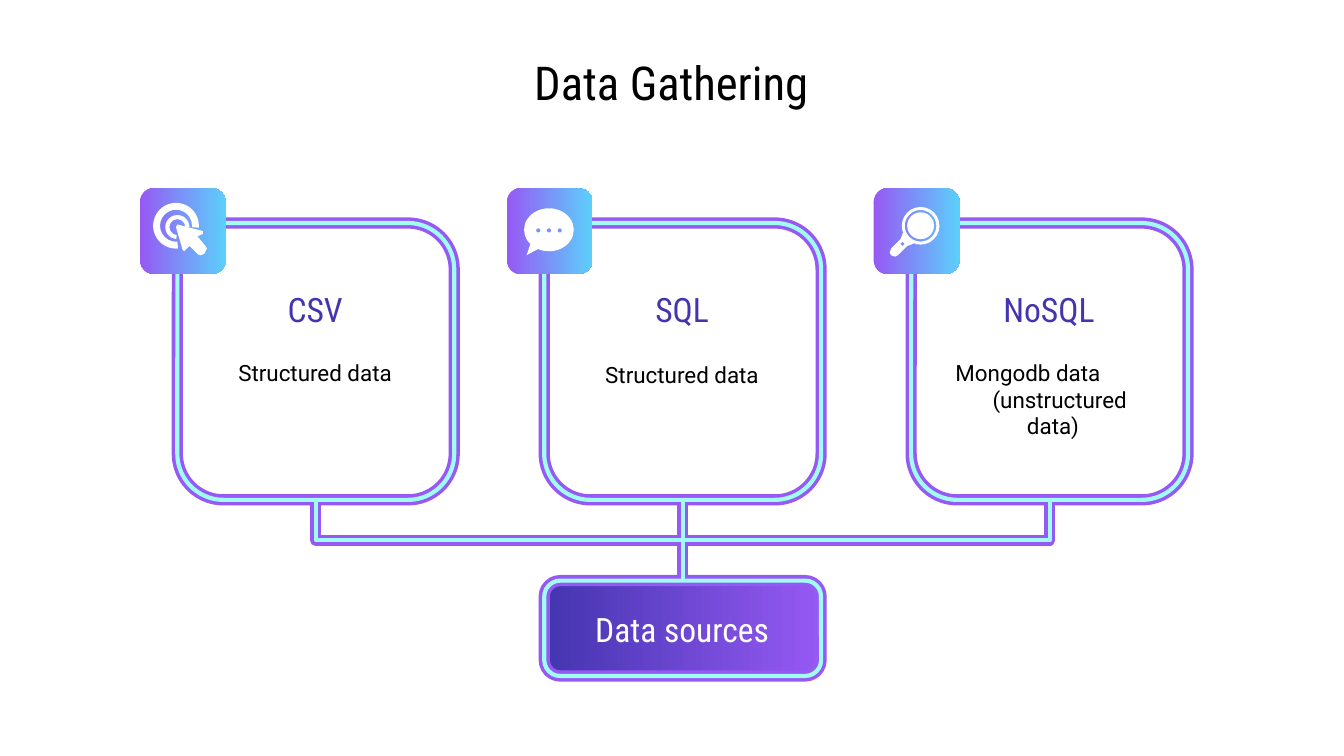
"""Build the Data Gathering slide: three data stores joined to one box of data sources."""
from lxml import etree
from pptx import Presentation
from pptx.dml.color import RGBColor
from pptx.enum.shapes import MSO_CONNECTOR as CONNECTOR, MSO_SHAPE as SHAPE
from pptx.enum.text import MSO_ANCHOR as ANCHOR, PP_ALIGN as ALIGN
from pptx.oxml.ns import qn
from pptx.util import Inches, Pt

COLORS = {
    "purple": "9659F4", "mint": "A0FDF1", "sky": "5CCFFB", "indigo": "4335AF",
    "dots": "7A92F8", "white": "FFFFFF", "black": "000000",
}
CONDENSED = "Roboto Condensed"
OUTLINES = [("purple", 6, ("indigo", "purple")), ("mint", 2.25, None)]
CARD_SIZE, CARD_TOP, SOURCE_TOP = 2.06, 1.66, 4.32
CARD_BOTTOM = CARD_TOP + CARD_SIZE
CARD_LEFTS = [1.32, 4.05, 6.78]
CENTERS = [left + CARD_SIZE / 2 for left in CARD_LEFTS]
HUB = CENTERS[1]

presentation = Presentation()
presentation.slide_width = Inches(10)
presentation.slide_height = Inches(10) * 9 // 16
slide = presentation.slides.add_slide(presentation.slide_layouts[6])


def add_shape(kind, box, fill=None, line=None, adjustments=()):
    shape = slide.shapes.add_shape(kind, *map(Inches, box))
    shape.shadow.inherit = False
    for index, value in enumerate(adjustments):
        shape.adjustments[index] = value
    if isinstance(fill, tuple):
        shape.fill.gradient()
        shape.fill.gradient_angle = 0
        for stop, name, position in zip(shape.fill.gradient_stops, fill, (0, 1)):
            stop.color.rgb = RGBColor.from_string(COLORS[name])
            stop.position = position
    elif fill:
        shape.fill.solid()
        shape.fill.fore_color.rgb = RGBColor.from_string(COLORS[fill])
    else:
        shape.fill.background()
    if line:
        shape.line.color.rgb = RGBColor.from_string(COLORS[line[0]])
        shape.line.width = Pt(line[1])
    else:
        shape.line.fill.background()


def add_text(box, lines, size, font, color, anchor=ANCHOR.MIDDLE):
    frame = slide.shapes.add_textbox(*map(Inches, box)).text_frame
    frame.word_wrap = True
    frame.vertical_anchor = anchor
    frame.margin_left = frame.margin_right = Inches(0.1)
    frame.margin_top = frame.margin_bottom = Inches(0.1)
    for index, (text, alignment, indent) in enumerate(lines):
        paragraph = frame.add_paragraph() if index else frame.paragraphs[0]
        paragraph.alignment = alignment
        if indent:
            properties = paragraph._p.get_or_add_pPr()
            properties.set("marL", "0")
            properties.set("indent", str(Inches(indent)))
        run = paragraph.add_run()
        run.text = text
        run.font.size, run.font.name = Pt(size), font
        run.font.color.rgb = RGBColor.from_string(COLORS[color])


for color, width, source_fill in OUTLINES:
    for center in CENTERS:
        if center == HUB:
            kind, ends = CONNECTOR.STRAIGHT, (HUB, CARD_BOTTOM, HUB, SOURCE_TOP)
        else:
            kind = CONNECTOR.ELBOW
            middle_x, middle_y = (center + HUB) / 2, (CARD_BOTTOM + SOURCE_TOP) / 2
            reach = abs(HUB - center) / 2
            half = (SOURCE_TOP - CARD_BOTTOM) / 2 * (1 if center > HUB else -1)
            ends = (middle_x - half, middle_y - reach, middle_x + half, middle_y + reach)
        connector = slide.shapes.add_connector(kind, *map(Inches, ends))
        connector.line.color.rgb = RGBColor.from_string(COLORS[color])
        connector.line.width = Pt(width)
        properties = connector._element.spPr
        etree.SubElement(properties, qn("a:effectLst"))
        if center != HUB:
            degrees = 90 if center > HUB else 270
            properties.find(qn("a:xfrm")).set("rot", str(degrees * 60000))
    for left in CARD_LEFTS:
        add_shape(SHAPE.ROUNDED_RECTANGLE, (left, CARD_TOP, CARD_SIZE, CARD_SIZE),
                  line=(color, width), adjustments=[0.167])
    add_shape(SHAPE.ROUNDED_RECTANGLE, (CARD_LEFTS[1], SOURCE_TOP, CARD_SIZE, 0.71),
              source_fill, (color, width), [0.167])

for left in CARD_LEFTS:
    add_shape(SHAPE.ROUNDED_RECTANGLE, (left - 0.28, 1.4, 0.64, 0.64),
              ("purple", "sky"), adjustments=[0.167])

icon_parts = [
    (SHAPE.BLOCK_ARC, (1.14, 1.51, 0.34, 0.34), "white", [51, 3, 0.15]),
    (SHAPE.BLOCK_ARC, (1.23, 1.6, 0.18, 0.18), "white", [57, 0, 0.17]),
    (SHAPE.OVAL_CALLOUT, (3.9, 1.55, 0.37, 0.32), "white", [-0.45, 0.59]),
    (SHAPE.DONUT, (6.71, 1.54, 0.28, 0.28), "white", [0.08]),
    (SHAPE.OVAL, (6.75, 1.58, 0.2, 0.2), "white", []),
]
icon_parts += [(SHAPE.OVAL, (3.99 + 0.08 * step, 1.7, 0.03, 0.03), "dots", [])
               for step in range(3)]
for kind, box, fill, adjustments in icon_parts:
    add_shape(kind, box, fill, adjustments=adjustments)

cursor = [(1.32, 1.67), (1.51, 1.72), (1.51, 1.74), (1.47, 1.76), (1.53, 1.83), (1.54, 1.85),
          (1.53, 1.87), (1.52, 1.89), (1.49, 1.9), (1.47, 1.89), (1.41, 1.83), (1.38, 1.86),
          (1.37, 1.87), (1.36, 1.86), (1.31, 1.69)]
handle = [(6.72, 1.73), (6.7, 1.78), (6.63, 1.85), (6.62, 1.88), (6.63, 1.9), (6.66, 1.91),
          (6.68, 1.9), (6.75, 1.83), (6.78, 1.82), (6.8, 1.81)]
for points in (cursor, handle):
    builder = slide.shapes.build_freeform(*map(Inches, points[0]), scale=1.0)
    builder.add_line_segments([tuple(map(Inches, point)) for point in points[1:]], close=True)
    shape = builder.convert_to_shape()
    shape.shadow.inherit = False
    shape.fill.solid()
    shape.fill.fore_color.rgb = RGBColor.from_string(COLORS["white"])
    shape.line.fill.background()
add_shape(SHAPE.DIAMOND, (6.7, 1.8, 0.03, 0.03), "dots")

structured = [("Structured data", ALIGN.CENTER, 0)]
unstructured = [("Mongodb data", ALIGN.LEFT, 0.02), ("(unstructured data)", ALIGN.CENTER, 0.1)]
cards = [
    ("CSV", structured, 1.5, 2.57),
    ("SQL", structured, 4.23, 2.59),
    ("NoSQL", unstructured, 6.99, 2.57),
]
add_text((0.56, 0.33, 8.87, 0.56), [("Data Gathering", ALIGN.CENTER, 0)], 25, CONDENSED, "black")
for center, (name, lines, left, top) in zip(CENTERS, cards):
    add_text((center - 0.85, 2.16, 1.69, 0.28), [(name, ALIGN.CENTER, 0)], 18, CONDENSED, "indigo")
    add_text((left, top, 1.69, 0.83), lines, 12, "Roboto", "black", ANCHOR.TOP)
add_text((4.23, 4.54, 1.69, 0.28), [("Data sources", ALIGN.CENTER, 0)], 18, CONDENSED, "white")

presentation.save("out.pptx")
